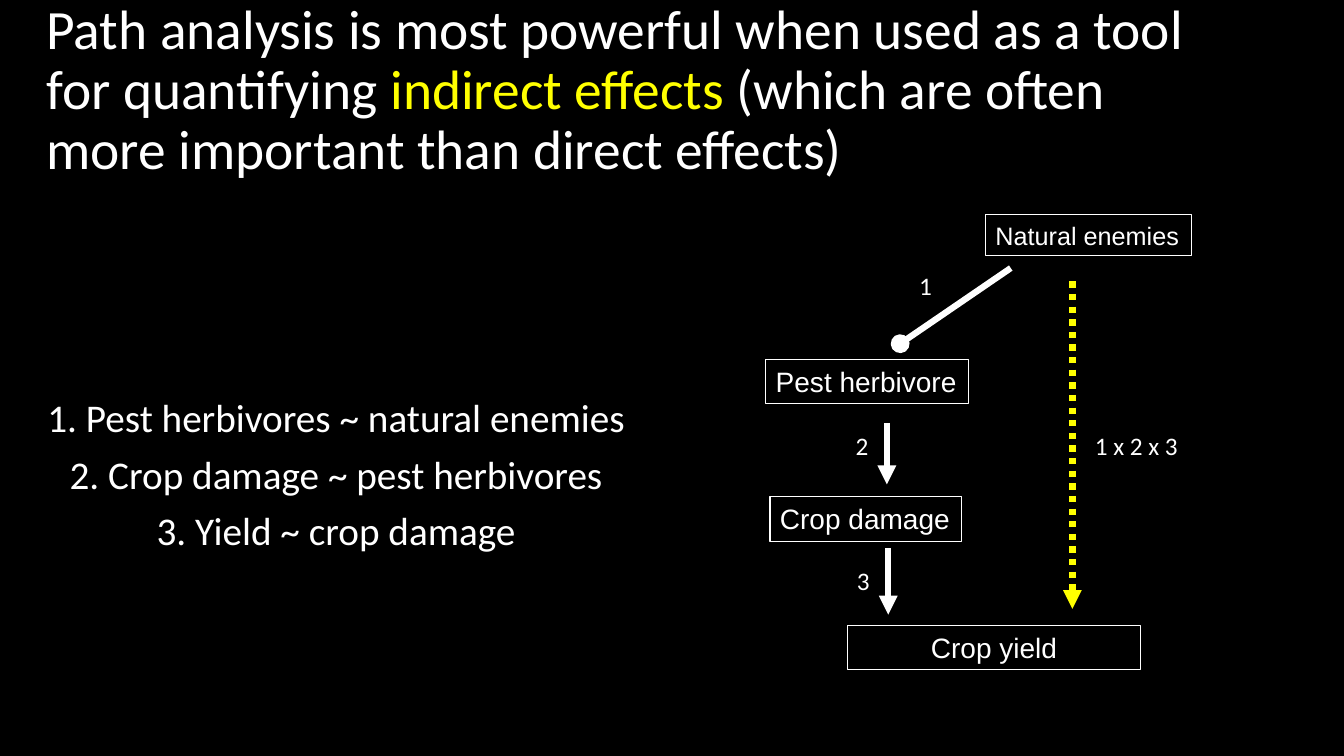
from lxml.etree import SubElement
from pptx import Presentation
from pptx.dml.color import RGBColor
from pptx.enum.dml import MSO_LINE
from pptx.enum.shapes import MSO_CONNECTOR, MSO_SHAPE
from pptx.enum.text import MSO_ANCHOR, MSO_AUTO_SIZE, PP_ALIGN
from pptx.oxml.ns import qn
from pptx.util import Pt

WHITE, YELLOW, BLACK = "FFFFFF", "FFFF00", "000000"


def color(hex_value):
    return RGBColor.from_string(hex_value)


def format_run(run, size, font="Calibri", hex_value=WHITE):
    run.font.size = Pt(size)
    run.font.name = font
    run.font.color.rgb = color(hex_value)


def add_title(slide, left, top, width, height):
    title = slide.shapes.title
    title.left, title.top, title.width, title.height = Pt(left), Pt(top), Pt(width), Pt(height)
    frame = title.text_frame
    frame.word_wrap = True
    frame.auto_size = MSO_AUTO_SIZE.NONE
    frame.vertical_anchor = MSO_ANCHOR.MIDDLE
    paragraph = frame.paragraphs[0]
    paragraph.alignment = PP_ALIGN.LEFT
    paragraph.line_spacing = 0.9
    for text, hex_value in (
        ("Path analysis is most powerful when used as a tool for quantifying ", WHITE),
        ("indirect effects ", YELLOW),
        ("(which are often more important than direct effects)", WHITE),
    ):
        run = paragraph.add_run()
        run.text = text
        format_run(run, 39.6, hex_value=hex_value)


def add_text(slide, text, left, top, width, height, size):
    shape = slide.shapes.add_textbox(Pt(left), Pt(top), Pt(width), Pt(height))
    frame = shape.text_frame
    frame.word_wrap = True
    frame.text = text
    for paragraph in frame.paragraphs:
        format_run(paragraph.runs[0], size)
    return frame


def add_models(slide, left, top, width, height):
    models = (
        "1. Pest herbivores ~ natural enemies",
        "2. Crop damage ~ pest herbivores",
        "3. Yield ~ crop damage",
    )
    frame = add_text(slide, "\n".join(models), left, top, width, height, 28)
    for paragraph in frame.paragraphs:
        paragraph.alignment = PP_ALIGN.CENTER
        paragraph.line_spacing = 0.9
        paragraph.space_before = Pt(10)


def add_node(slide, text, left, top, width, height, size, wrap=False):
    node = slide.shapes.add_shape(
        MSO_SHAPE.RECTANGLE, Pt(left), Pt(top), Pt(width), Pt(height))
    node.shadow.inherit = False
    node.fill.background()
    node.line.color.rgb = color(WHITE)
    node.line.width = Pt(0.75)
    frame = node.text_frame
    frame.word_wrap = wrap
    frame.vertical_anchor = MSO_ANCHOR.TOP
    frame.text = text
    paragraph = frame.paragraphs[0]
    paragraph.alignment = PP_ALIGN.CENTER if wrap else PP_ALIGN.LEFT
    format_run(paragraph.runs[0], size, "Arial")


def add_path(slide, start_x, start_y, end_x, end_y, head="triangle", hex_value=WHITE, dash=None):
    path = slide.shapes.add_connector(
        MSO_CONNECTOR.STRAIGHT, Pt(start_x), Pt(start_y), Pt(end_x), Pt(end_y))
    path.line.color.rgb = color(hex_value)
    path.line.width = Pt(4.5)
    if dash:
        path.line.dash_style = dash
    SubElement(path.line._get_or_add_ln(), qn("a:tailEnd"), type=head)
    SubElement(path._element.spPr, qn("a:effectLst"))


def add_path_diagram(slide, left, top):
    for text, x, y, width, height, size, wrap in (
        ("Natural enemies", 157, 0, 147, 29, 18, False),
        ("Pest herbivore", 0, 103, 145, 32, 20, False),
        ("Crop damage", 3, 201, 137, 32, 20, False),
        ("Crop yield", 58.5, 293, 209, 32, 20, True),
    ):
        add_node(slide, text, left + x, top + y, width, height, size, wrap)

    for start_x, start_y, end_x, end_y, head, hex_value, dash in (
        (175, 38, 96, 92, "oval", WHITE, None),
        (86.5, 148.5, 86.5, 192.5, "triangle", WHITE, None),
        (87.5, 238, 87.5, 285.5, "triangle", WHITE, None),
        (219, 47.5, 219, 281.5, "triangle", YELLOW, MSO_LINE.ROUND_DOT),
    ):
        add_path(slide, left + start_x, top + start_y, left + end_x, top + end_y,
                 head, hex_value, dash)

    for text, x, y, width in (
        ("1", 102.5, 36, 32),
        ("2", 57, 150.5, 32),
        ("3", 58, 246.5, 27),
        ("1 x 2 x 3", 228, 150.5, 79),
    ):
        add_text(slide, text, left + x, top + y, width, 29, 18)


def main():
    presentation = Presentation()
    presentation.slide_width, presentation.slide_height = Pt(960), Pt(540)
    slide = presentation.slides.add_slide(presentation.slide_layouts[5])
    slide.background.fill.solid()
    slide.background.fill.fore_color.rgb = color(BLACK)
    add_title(slide, 26, 13, 828, 104.5)
    add_models(slide, 0, 281.5, 480, 119)
    add_path_diagram(slide, 547, 153.5)
    presentation.save("out.pptx")


if __name__ == "__main__":
    main()
